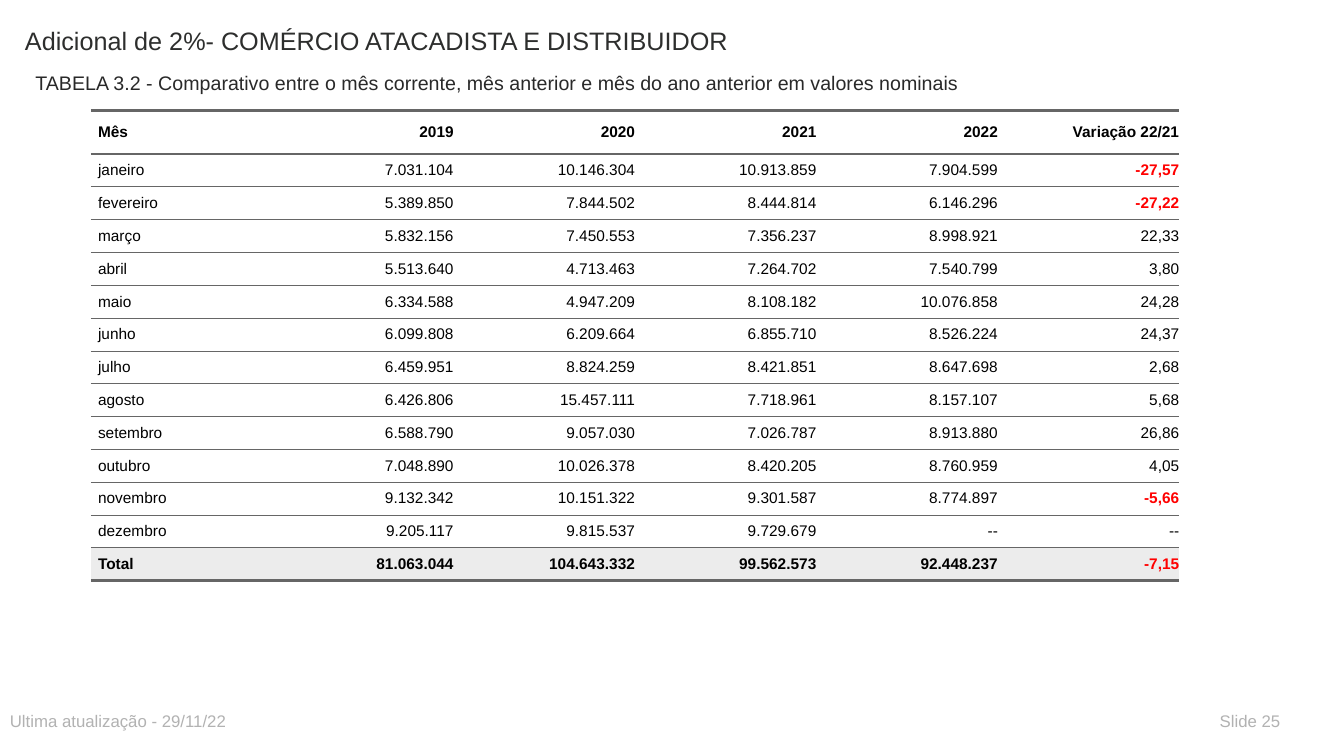
from lxml import etree
from pptx import Presentation
from pptx.dml.color import RGBColor
from pptx.enum.text import MSO_ANCHOR, PP_ALIGN
from pptx.oxml.ns import qn
from pptx.util import Cm, Pt

LEFT, RIGHT = PP_ALIGN.LEFT, PP_ALIGN.RIGHT
MIDDLE = MSO_ANCHOR.MIDDLE
BLACK = RGBColor(0x00, 0x00, 0x00)
WHITE = RGBColor(0xFF, 0xFF, 0xFF)
RED = RGBColor(0xFF, 0x00, 0x00)
INK = RGBColor(0x2D, 0x2E, 0x2D)
DARK = RGBColor(0x29, 0x29, 0x29)
PALE = RGBColor(0xB2, 0xB2, 0xB2)
BAND = RGBColor(0xEC, 0xEC, 0xEC)
RULE = RGBColor(0x66, 0x66, 0x66)
PLAIN = "{2D5ABB26-0587-4C30-8999-92F81FD0307C}"

HEAD = ["Mês", "2019", "2020", "2021", "2022", "Variação 22/21"]
MONTHS = [
    ["janeiro", "7.031.104", "10.146.304", "10.913.859", "7.904.599", "-27,57"],
    ["fevereiro", "5.389.850", "7.844.502", "8.444.814", "6.146.296", "-27,22"],
    ["março", "5.832.156", "7.450.553", "7.356.237", "8.998.921", "22,33"],
    ["abril", "5.513.640", "4.713.463", "7.264.702", "7.540.799", "3,80"],
    ["maio", "6.334.588", "4.947.209", "8.108.182", "10.076.858", "24,28"],
    ["junho", "6.099.808", "6.209.664", "6.855.710", "8.526.224", "24,37"],
    ["julho", "6.459.951", "8.824.259", "8.421.851", "8.647.698", "2,68"],
    ["agosto", "6.426.806", "15.457.111", "7.718.961", "8.157.107", "5,68"],
    ["setembro", "6.588.790", "9.057.030", "7.026.787", "8.913.880", "26,86"],
    ["outubro", "7.048.890", "10.026.378", "8.420.205", "8.760.959", "4,05"],
    ["novembro", "9.132.342", "10.151.322", "9.301.587", "8.774.897", "-5,66"],
    ["dezembro", "9.205.117", "9.815.537", "9.729.679", "--", "--"],
]
TOTAL = ["Total", "81.063.044", "104.643.332", "99.562.573", "92.448.237", "-7,15"]


def write(frame, text, size=11, color=BLACK, bold=False, align=LEFT):
    para = frame.paragraphs[0]
    para.alignment = align
    run = para.add_run()
    run.text = text
    run.font.name = "Arial"
    run.font.size = Pt(size)
    run.font.bold = bold
    run.font.color.rgb = color
    return para


def border(cell, side, width):
    line = etree.Element(qn(f"a:{side}"), w=str(Pt(width)))
    fill = etree.SubElement(line, qn("a:solidFill"))
    etree.SubElement(fill, qn("a:srgbClr"), val=str(RULE))
    props = cell._tc.get_or_add_tcPr()
    props.insert(len(props.findall(qn("a:lnT"))), line)


deck = Presentation()
deck.slide_width, deck.slide_height = Cm(33.86), Cm(19.05)
slide = deck.slides.add_slide(deck.slide_layouts[6])

for text, left, top, width, height, size, color in [
    ("Adicional de 2%- COMÉRCIO ATACADISTA E DISTRIBUIDOR", 0.38, 0.51, 20.32, 1.5, 18, INK),
    ("TABELA 3.2 - Comparativo entre o mês corrente, mês anterior e mês do ano anterior em valores nominais",
     0.64, 1.65, 25.4, 0.76, 14, DARK),
    ("Ultima atualização - 29/11/22", 0, 17.78, 16.51, 0.76, 12, PALE),
    ("Slide 25", 30.48, 17.78, 2.29, 0.76, 12, PALE),
]:
    box = slide.shapes.add_textbox(Cm(left), Cm(top), Cm(width), Cm(height))
    box.text_frame.word_wrap = True
    write(box.text_frame, text, size=size, color=color)

rows = [HEAD, *MONTHS, TOTAL]
last = len(rows) - 1
grid = slide.shapes.add_table(len(rows), len(HEAD), Cm(2.29), Cm(2.79), Cm(27.43), Cm(9.41))
table = grid.table
grid._element.find(".//" + qn("a:tableStyleId")).text = PLAIN
for col in table.columns:
    col.width = Cm(4.57)

for r, row in enumerate(rows):
    table.rows[r].height = Cm(1.09 if r == 0 else 0.64)
    for c, text in enumerate(row):
        cell = table.cell(r, c)
        cell.vertical_anchor = MIDDLE
        cell.margin_left = cell.margin_right = 0
        cell.margin_top = cell.margin_bottom = Cm(0.18)
        cell.fill.solid()
        cell.fill.fore_color.rgb = BAND if r == last else WHITE
        border(cell, "lnT", 2 if r < 2 else 0.5)
        border(cell, "lnB", 2 if r in (0, last) else 0.5)
        minus = text.startswith("-") and text != "--"
        para = write(cell.text_frame, text, color=RED if minus else BLACK,
                     bold=minus or r in (0, last), align=RIGHT if c else LEFT)
        para._p.get_or_add_pPr().set("marL", str(Cm(0.18)))

deck.save("out.pptx")
